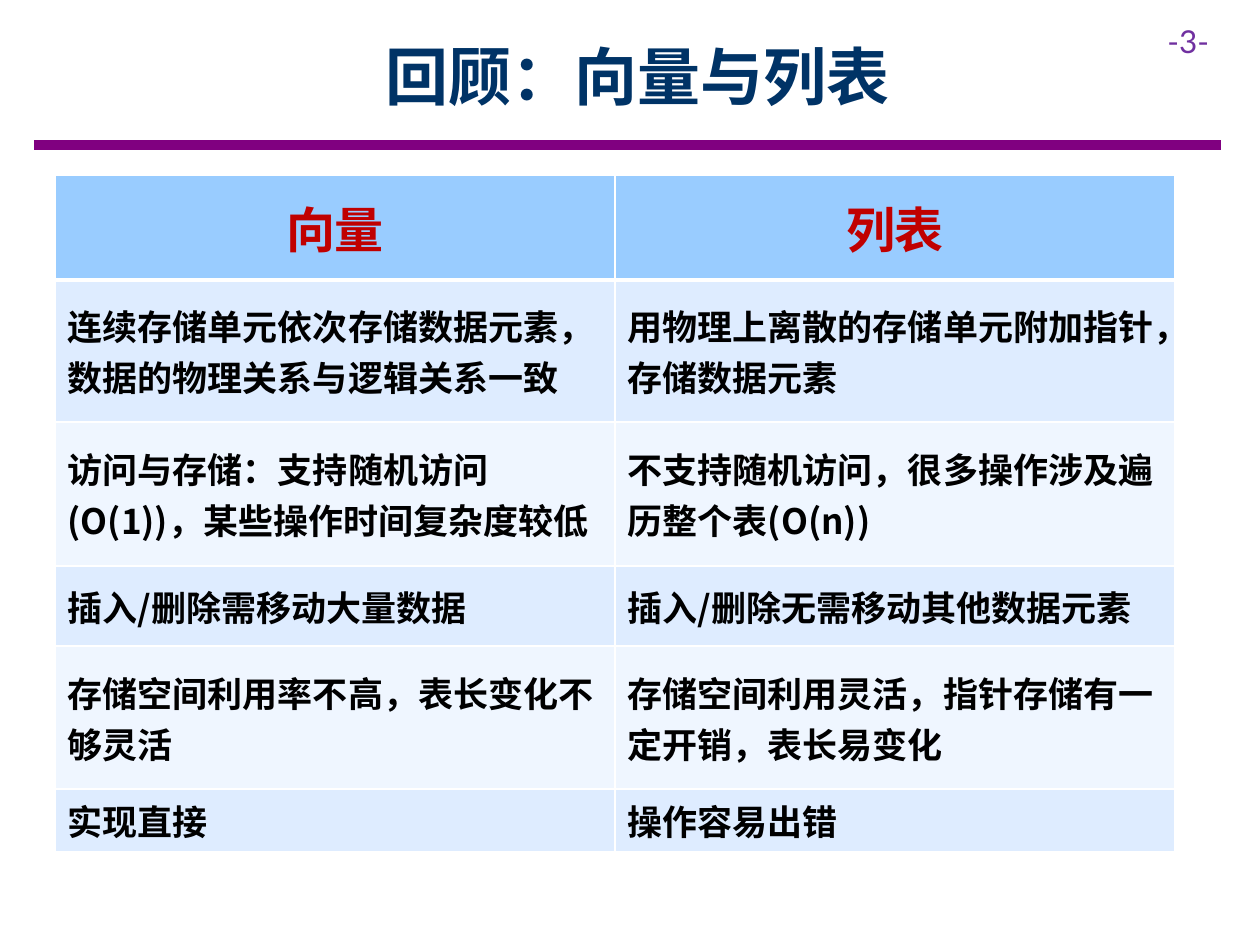
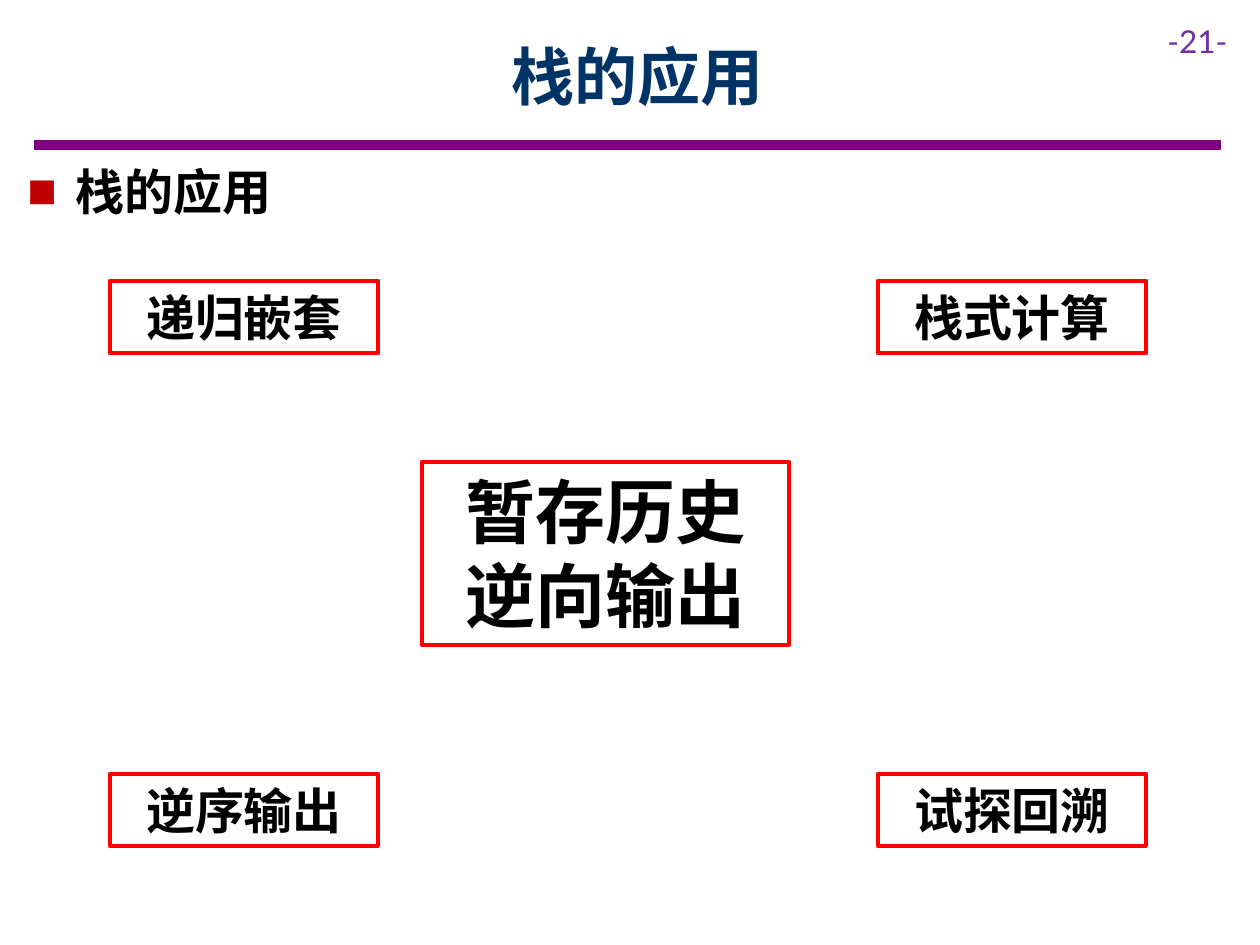
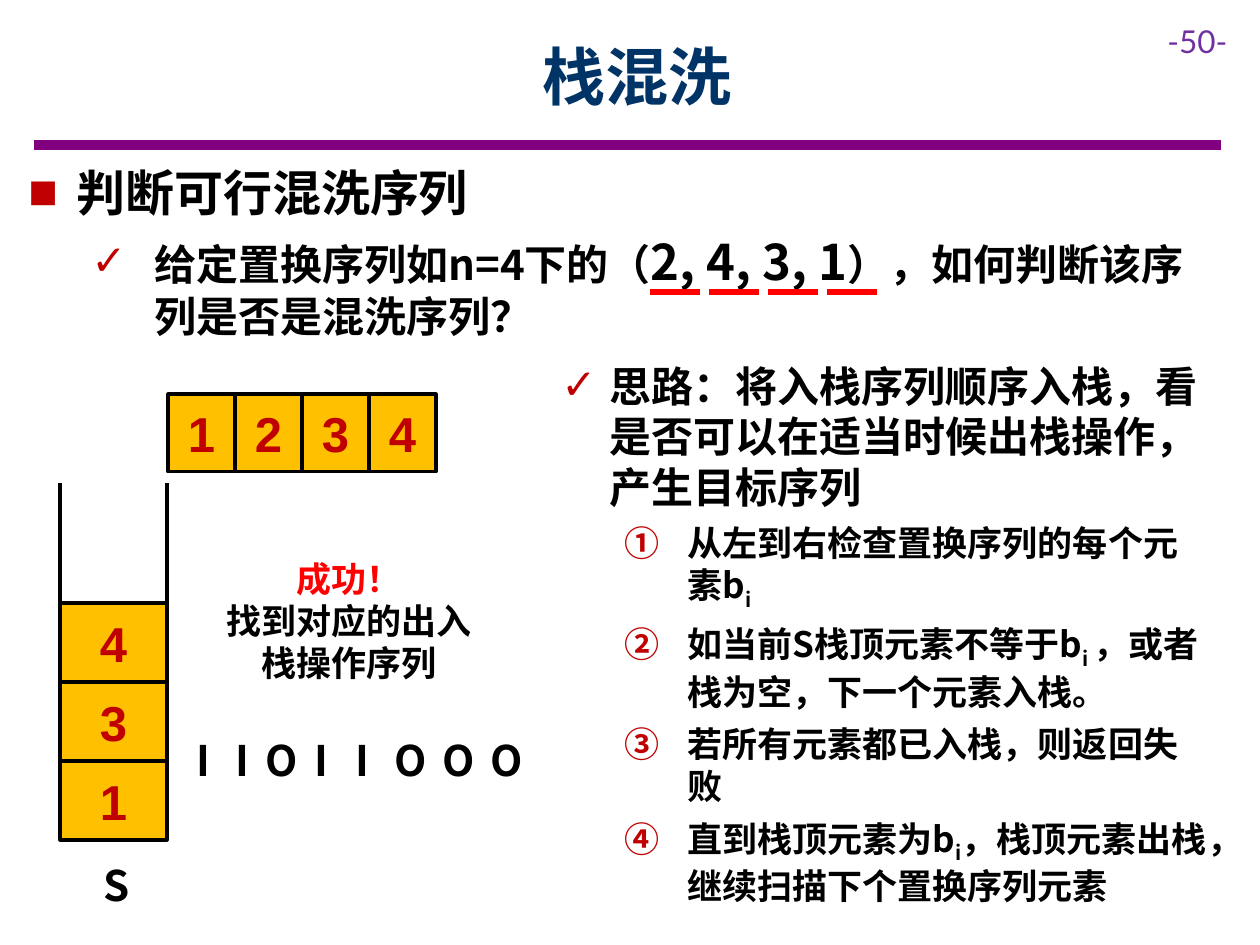
"""Build three lecture slides on vectors, lists and stacks."""
import dataclasses

import lxml.etree
import pptx
import pptx.dml.color
import pptx.enum.shapes
import pptx.enum.text
import pptx.oxml.ns
import pptx.util

EMU_PER_PX = 914400 / 126
CENTER = pptx.enum.text.PP_ALIGN.CENTER
TOP = pptx.enum.text.MSO_ANCHOR.TOP
MIDDLE = pptx.enum.text.MSO_ANCHOR.MIDDLE


@dataclasses.dataclass(frozen=True)
class Theme:
    """Colours, fonts and type sizes of the deck."""
    ink: str = "000000"
    title: str = "003366"
    band: str = "800080"
    page: str = "7030A0"
    accent: str = "C00000"
    alert: str = "FF0000"
    cell: str = "FFC000"
    white: str = "FFFFFF"
    header: str = "99CCFF"
    stripes: tuple = ("DEECFF", "EFF6FF")
    main_font: str = "Noto Sans CJK SC"
    digit_font: str = "Arial"
    page_font: str = "Lato"
    huge: int = 40
    heading: int = 36
    large: int = 28
    medium: int = 24
    small: int = 20
    tiny: int = 18


THEME = Theme()


def px(length):
    """Turn pixels into EMU."""
    return pptx.util.Emu(round(length * EMU_PER_PX))


def rgb(color):
    """Turn a hex string into a colour."""
    return pptx.dml.color.RGBColor.from_string(color)


def add_xml(parent, tag, **attributes):
    """Append a DrawingML child element."""
    return lxml.etree.SubElement(parent, pptx.oxml.ns.qn(tag), attributes)


def style_paragraph(paragraph, size, color=THEME.ink, font=THEME.main_font, bold=True):
    """Set the font shared by all runs of a paragraph."""
    paragraph.font.size = pptx.util.Pt(size)
    paragraph.font.bold = bold
    paragraph.font.name = font
    paragraph.font.color.rgb = rgb(color)
    add_xml(paragraph.font._element, "a:ea", typeface=font)


def add_bullet(paragraph, left, hanging, symbol=None):
    """Give a paragraph a symbol, or a circled number if there is none."""
    properties = paragraph._p.get_or_add_pPr()
    properties.set("marL", str(px(left)))
    properties.set("indent", str(-px(hanging)))
    color = add_xml(properties, "a:buClr")
    add_xml(color, "a:srgbClr", val=THEME.accent)
    if symbol:
        add_xml(properties, "a:buFont", typeface=THEME.digit_font)
        add_xml(properties, "a:buChar", char=symbol)
    else:
        add_xml(properties, "a:buAutoNum", type="circleNumDbPlain")


def add_runs(paragraph, runs):
    """Add plain strings, (text, size) pairs, or (text, "sub") subscripts."""
    for item in runs:
        text, variant = (item, None) if isinstance(item, str) else item
        run = paragraph.add_run()
        run.text = text
        if variant == "sub":
            run._r.get_or_add_rPr().set("baseline", "-25000")
        elif variant:
            run.font.size = pptx.util.Pt(variant)


def add_text_box(slide, left, top, width, height, anchor=TOP):
    """Add an empty wrapping text box and return its text frame."""
    frame = slide.shapes.add_textbox(px(left), px(top), px(width), px(height)).text_frame
    frame.word_wrap = True
    frame.vertical_anchor = anchor
    return frame


def add_label(slide, left, top, width, height, text):
    """Add a short bold label."""
    paragraph = add_text_box(slide, left, top, width, height).paragraphs[0]
    paragraph.text = text
    style_paragraph(paragraph, THEME.medium)


def add_outline(slide, left, top, width, height, items):
    """Add bulleted paragraphs given as (runs, size, indent, hanging, symbol)."""
    frame = add_text_box(slide, left, top, width, height)
    for index, (runs, size, indent, hanging, symbol) in enumerate(items):
        paragraph = frame.add_paragraph() if index else frame.paragraphs[0]
        add_bullet(paragraph, indent, hanging, symbol)
        style_paragraph(paragraph, size)
        paragraph.space_after = pptx.util.Pt(6)
        add_runs(paragraph, runs)


def add_line(slide, start, end, color=THEME.ink, width=1.75):
    """Add a straight line between two points."""
    connector = slide.shapes.add_connector(
        pptx.enum.shapes.MSO_CONNECTOR.STRAIGHT, *map(px, start + end))
    connector.line.color.rgb = rgb(color)
    connector.line.width = pptx.util.Pt(width)
    add_xml(connector._element.spPr, "a:effectLst")


def add_box(slide, left, top, width, height, text, line_color, line_width):
    """Add a rectangle with a centred paragraph."""
    shape = slide.shapes.add_shape(
        pptx.enum.shapes.MSO_SHAPE.RECTANGLE, px(left), px(top), px(width), px(height))
    shape.shadow.inherit = False
    shape.fill.background()
    shape.line.color.rgb = rgb(line_color)
    shape.line.width = pptx.util.Pt(line_width)
    shape.text_frame.word_wrap = True
    paragraph = shape.text_frame.paragraphs[0]
    paragraph.text = text
    paragraph.alignment = CENTER
    return shape


def add_topic(slide, left, top, width, height, text, size=THEME.large):
    """Add a red framed topic."""
    shape = add_box(slide, left, top, width, height, text, THEME.alert, 2.5)
    shape.text_frame.vertical_anchor = TOP
    style_paragraph(shape.text_frame.paragraphs[0], size)


def add_element(slide, left, top, width, height, text):
    """Add one numbered element of a queue or stack."""
    shape = add_box(slide, left, top, width, height, text, THEME.ink, 1.75)
    shape.fill.solid()
    shape.fill.fore_color.rgb = rgb(THEME.cell)
    frame = shape.text_frame
    frame.vertical_anchor = MIDDLE
    frame.margin_top = frame.margin_bottom = px(12)
    style_paragraph(frame.paragraphs[0], THEME.large, THEME.accent, THEME.digit_font)


def set_borders(cell, bottom_width):
    """Draw white borders around a table cell."""
    properties = cell._tc.get_or_add_tcPr()
    widths = {"a:lnL": 1, "a:lnR": 1, "a:lnT": 1, "a:lnB": bottom_width}
    for index, (tag, width) in enumerate(widths.items()):
        line = add_xml(properties, tag, w=str(pptx.util.Pt(width)))
        add_xml(add_xml(line, "a:solidFill"), "a:srgbClr", val=THEME.white)
        properties.insert(index, line)


def add_comparison(slide, left, top, column_width, row_heights, rows):
    """Add a banded two-column table with a header row."""
    table = slide.shapes.add_table(
        len(rows), 2, px(left), px(top), px(2 * column_width), px(sum(row_heights))).table
    for column in table.columns:
        column.width = px(column_width)
    for row_index, texts in enumerate(rows):
        table.rows[row_index].height = px(row_heights[row_index])
        is_header = row_index == 0
        fill = THEME.header if is_header else THEME.stripes[(row_index - 1) % 2]
        for column_index, text in enumerate(texts):
            cell = table.cell(row_index, column_index)
            cell.fill.solid()
            cell.fill.fore_color.rgb = rgb(fill)
            cell.vertical_anchor = MIDDLE
            set_borders(cell, 3 if is_header else 1)
            paragraph = cell.text_frame.paragraphs[0]
            paragraph.text = text
            if is_header:
                paragraph.alignment = CENTER
                style_paragraph(paragraph, THEME.large, THEME.accent)
            else:
                style_paragraph(paragraph, THEME.small)


def add_slide(presentation, title, number):
    """Add a slide with the shared band, page number and title."""
    slide = presentation.slides.add_slide(presentation.slide_layouts[6])
    add_line(slide, (34, 145), (1221, 145), THEME.band, 6)
    page = add_text_box(slide, 1155, 16, 105, 50).paragraphs[0]
    page.text = f"-{number}-"
    style_paragraph(page, THEME.tiny, THEME.page, THEME.page_font, False)
    heading = add_text_box(slide, 114, 12, 1047, 126, MIDDLE).paragraphs[0]
    heading.text = title
    heading.alignment = CENTER
    style_paragraph(heading, THEME.heading, THEME.title)
    return slide


def build_review(presentation):
    """Compare vectors and lists."""
    slide = add_slide(presentation, "回顾：向量与列表", 3)
    add_comparison(slide, 55, 175, 560, (105, 142, 144, 80, 143, 63), (
        ("向量", "列表"),
        ("连续存储单元依次存储数据元素，数据的物理关系与逻辑关系一致",
         "用物理上离散的存储单元附加指针，存储数据元素"),
        ("访问与存储：支持随机访问(O(1))，某些操作时间复杂度较低",
         "不支持随机访问，很多操作涉及遍历整个表(O(n))"),
        ("插入/删除需移动大量数据", "插入/删除无需移动其他数据元素"),
        ("存储空间利用率不高，表长变化不够灵活",
         "存储空间利用灵活，指针存储有一定开销，表长易变化"),
        ("实现直接", "操作容易出错")))


def build_applications(presentation):
    """Show the uses of a stack around its core idea."""
    slide = add_slide(presentation, "栈的应用", 21)
    add_outline(slide, 15, 155, 1131, 72, [(["栈的应用"], THEME.large, 48, 48, "■")])
    add_topic(slide, 422, 462, 367, 183, "暂存历史逆向输出", THEME.huge)
    topics = (("递归嵌套", "栈式计算"), ("逆序输出", "试探回溯"))
    for row, pair in enumerate(topics):
        for column, text in enumerate(pair):
            add_topic(slide, 110 + 768 * column, 281 + 493 * row, 268, 72, text)


def build_shuffle(presentation):
    """Explain how to check a stack permutation."""
    slide = add_slide(presentation, "栈混洗", 50)
    add_outline(slide, 16, 156, 1218, 193, [
        (["判断可行混洗序列"], THEME.large, 48, 48, "■"),
        (["给定置换序列如n=4下的（", ("2, 4, 3, 1", THEME.large),
          "），如何判断该序列是否是混洗序列？"], THEME.medium, 126, 63, "✓")])
    steps = (
        ["从左到右检查置换序列的每个元素b", ("i", "sub")],
        ["如当前S栈顶元素不等于b", ("i ", "sub"), "，或者栈为空，下一个元素入栈。"],
        ["若所有元素都已入栈，则返回失败"],
        ["直到栈顶元素为b", ("i", "sub"), "，栈顶元素出栈，继续扫描下个置换序列元素"])
    idea = ["思路：将入栈序列顺序入栈，看是否可以在适当时候出栈操作，产生目标序列"]
    add_outline(slide, 549, 354, 675, 547,
                [(idea, THEME.medium, 48, 48, "✓")]
                + [(step, THEME.small, 126, 63, None) for step in steps])

    for index in range(4):
        left = 650 + 59 * index
        add_line(slide, (left, 292), (left + 50, 292), THEME.alert, 3)

    add_line(slide, (60, 483), (60, 840))
    add_line(slide, (167, 483), (167, 840))
    add_line(slide, (167, 840), (60, 840))
    for index, digit in enumerate("431"):
        add_element(slide, 60, 603 + 79 * index, 107, 79, digit)
    add_label(slide, 91, 853, 111, 63, "S")

    add_line(slide, (174, 472), (432, 472))
    for index, digit in enumerate("1234"):
        add_element(slide, 168 + 67 * index, 394, 67, 78, digit)

    result = add_text_box(slide, 208, 551, 282, 140)
    lines = (("成功！", THEME.alert), ("找到对应的出入栈操作序列", THEME.ink))
    for index, (text, color) in enumerate(lines):
        paragraph = result.add_paragraph() if index else result.paragraphs[0]
        paragraph.text = text
        paragraph.alignment = CENTER
        style_paragraph(paragraph, THEME.small, color)

    operation_widths = {"I": 50, "O": 58}
    operation_lefts = (184, 223, 253, 302, 343, 382, 430, 478)
    for left, operation in zip(operation_lefts, "IIOIIOOO"):
        add_label(slide, left, 728, operation_widths[operation], 63, operation)


def main():
    """Build and save the presentation."""
    presentation = pptx.Presentation()
    presentation.slide_width = px(1260)
    presentation.slide_height = px(945)
    build_review(presentation)
    build_applications(presentation)
    build_shuffle(presentation)
    presentation.save("out.pptx")


if __name__ == "__main__":
    main()
